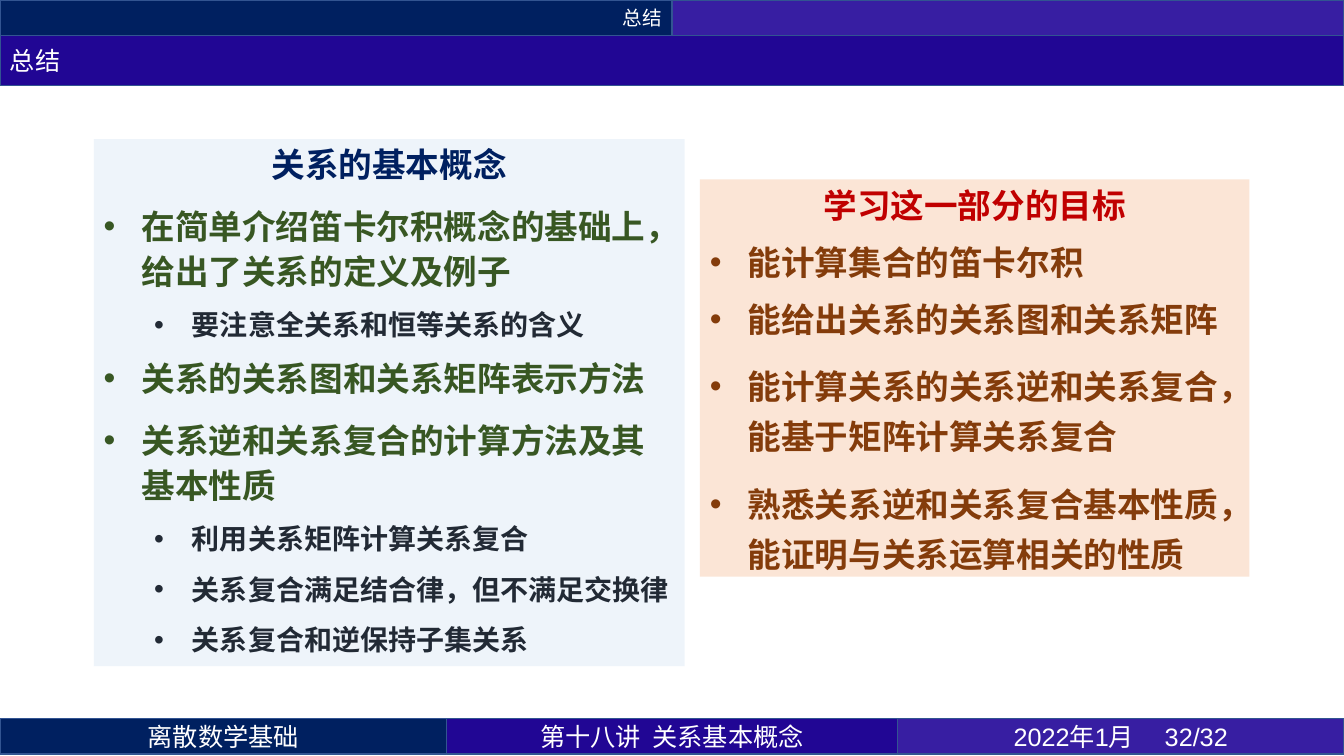
from lxml import etree
from pptx import Presentation
from pptx.dml.color import RGBColor
from pptx.enum.shapes import MSO_SHAPE
from pptx.enum.text import MSO_ANCHOR, MSO_AUTO_SIZE, PP_ALIGN
from pptx.oxml.ns import qn
from pptx.util import Pt

RECT = MSO_SHAPE.RECTANGLE
MIDDLE, TOP = MSO_ANCHOR.MIDDLE, MSO_ANCHOR.TOP
LEFT, CENTER, RIGHT = PP_ALIGN.LEFT, PP_ALIGN.CENTER, PP_ALIGN.RIGHT
GROW = MSO_AUTO_SIZE.SHAPE_TO_FIT_TEXT

WHITE = RGBColor(0xFF, 0xFF, 0xFF)
NAVY = RGBColor(0x00, 0x20, 0x60)
INDIGO = RGBColor(0x21, 0x06, 0x94)
VIOLET = RGBColor(0x37, 0x1E, 0xA2)
EDGE = RGBColor(0x32, 0x54, 0x91)
PALE_BLUE = RGBColor(0xDE, 0xEB, 0xF7)
PEACH = RGBColor(0xFB, 0xE5, 0xD6)
GREEN = RGBColor(0x38, 0x57, 0x23)
SLATE = RGBColor(0x22, 0x2A, 0x35)
RED = RGBColor(0xC0, 0x00, 0x00)
BROWN = RGBColor(0x84, 0x3C, 0x0B)

CJK, LATIN = "Noto Sans CJK SC", "Arial"
WIDTH, HEIGHT = 960, 540
TOP_H, TITLE_H = 25.2, 36
FOOT_Y = 513.36
INDENT, LEVEL_STEP = 27, 36

CONCEPTS = [
    (0, "在简单介绍笛卡尔积概念的基础上，给出了关系的定义及例子", 32),
    (1, "要注意全关系和恒等关系的含义", None),
    (0, "关系的关系图和关系矩阵表示方法", None),
    (0, "关系逆和关系复合的计算方法及其基本性质", 32),
    (1, "利用关系矩阵计算关系复合", None),
    (1, "关系复合满足结合律，但不满足交换律", None),
    (1, "关系复合和逆保持子集关系", None),
]
GOALS = [
    (0, "能计算集合的笛卡尔积", None),
    (0, "能给出关系的关系图和关系矩阵", None),
    (0, "能计算关系的关系逆和关系复合，能基于矩阵计算关系复合", 36),
    (0, "熟悉关系逆和关系复合基本性质，能证明与关系运算相关的性质", 36),
]


class Deck:
    def __init__(self):
        self.prs = Presentation()
        self.prs.slide_width, self.prs.slide_height = Pt(WIDTH), Pt(HEIGHT)
        self.s = self.prs.slides.add_slide(self.prs.slide_layouts[6])

    def rect(self, box, fill, anchor):
        sp = self.s.shapes.add_shape(RECT, *map(Pt, box))
        sp.shadow.inherit = False
        sp.fill.solid()
        sp.fill.fore_color.rgb = fill
        sp.text_frame.word_wrap = True
        sp.text_frame.vertical_anchor = anchor
        return sp

    def text(self, p, text, color, size, name=CJK, bold=False, **para):
        for key, value in para.items():
            setattr(p, key, value)
        r = p.add_run()
        r.text = text
        style = {"size": Pt(size), "name": name, "bold": bold}
        for key, value in style.items():
            setattr(r.font, key, value)
        r.font.color.rgb = color
        etree.SubElement(r._r.get_or_add_rPr(), qn("a:ea"), typeface=CJK)

    def bar(self, box, fill, text="", align=CENTER, size=18, name=CJK):
        sp = self.rect(box, fill, MIDDLE)
        sp.line.color.rgb = EDGE
        sp.line.width = Pt(1)
        if text:
            self.text(sp.text_frame.paragraphs[0], text, WHITE, size, name,
                      alignment=align)

    def bullet(self, p, level, text, color, spacing):
        pPr = p._p.get_or_add_pPr()
        pPr.set("marL", str(Pt(INDENT + LEVEL_STEP * level)))
        pPr.set("indent", str(-Pt(INDENT)))
        etree.SubElement(pPr, qn("a:buFont"), typeface=LATIN)
        etree.SubElement(pPr, qn("a:buChar"), char="•")
        size, name = ((24, CJK), (20, LATIN))[level]
        para = {"level": level, "alignment": LEFT,
                "space_before": Pt(6), "space_after": Pt(6)}
        if spacing:
            para["line_spacing"] = Pt(spacing)
        self.text(p, text, color, size, name, True, **para)

    def panel(self, box, fill, title, title_color, items, colors, alpha=None):
        sp = self.rect(box, fill, TOP)
        sp.line.fill.background()
        if alpha:
            clr = sp._element.spPr.find(".//" + qn("a:srgbClr"))
            etree.SubElement(clr, qn("a:alpha"), val=str(alpha * 1000))
        tf = sp.text_frame
        tf.auto_size = GROW
        self.text(tf.paragraphs[0], title, title_color, 24, bold=True,
                  alignment=CENTER, space_after=Pt(6))
        for level, text, spacing in items:
            self.bullet(tf.add_paragraph(), level, text, colors[level], spacing)


def main():
    deck = Deck()
    half = WIDTH / 2
    deck.bar((0, 0, half, TOP_H), NAVY, "总结", RIGHT, 14)
    deck.bar((half, 0, half, TOP_H), VIOLET)
    footers = [
        (0, 319, NAVY, "离散数学基础", CJK),
        (319, 322, INDIGO, "第十八讲  关系基本概念", CJK),
        (641, 319, VIOLET, "2022年1月 \t32/32", LATIN),
    ]
    for x, w, fill, text, name in footers:
        deck.bar((x, FOOT_Y, w, TOP_H), fill, text, name=name)
    deck.bar((0, TOP_H, WIDTH, TITLE_H), INDIGO, "总结", LEFT)
    deck.panel((67, 99.4, 422, 376.5), PALE_BLUE, "关系的基本概念", NAVY,
               CONCEPTS, (GREEN, SLATE), alpha=50)
    deck.panel((500, 128.2, 392.4, 283.7), PEACH, "学习这一部分的目标", RED,
               GOALS, (BROWN,))
    deck.prs.save("out.pptx")


if __name__ == "__main__":
    main()
